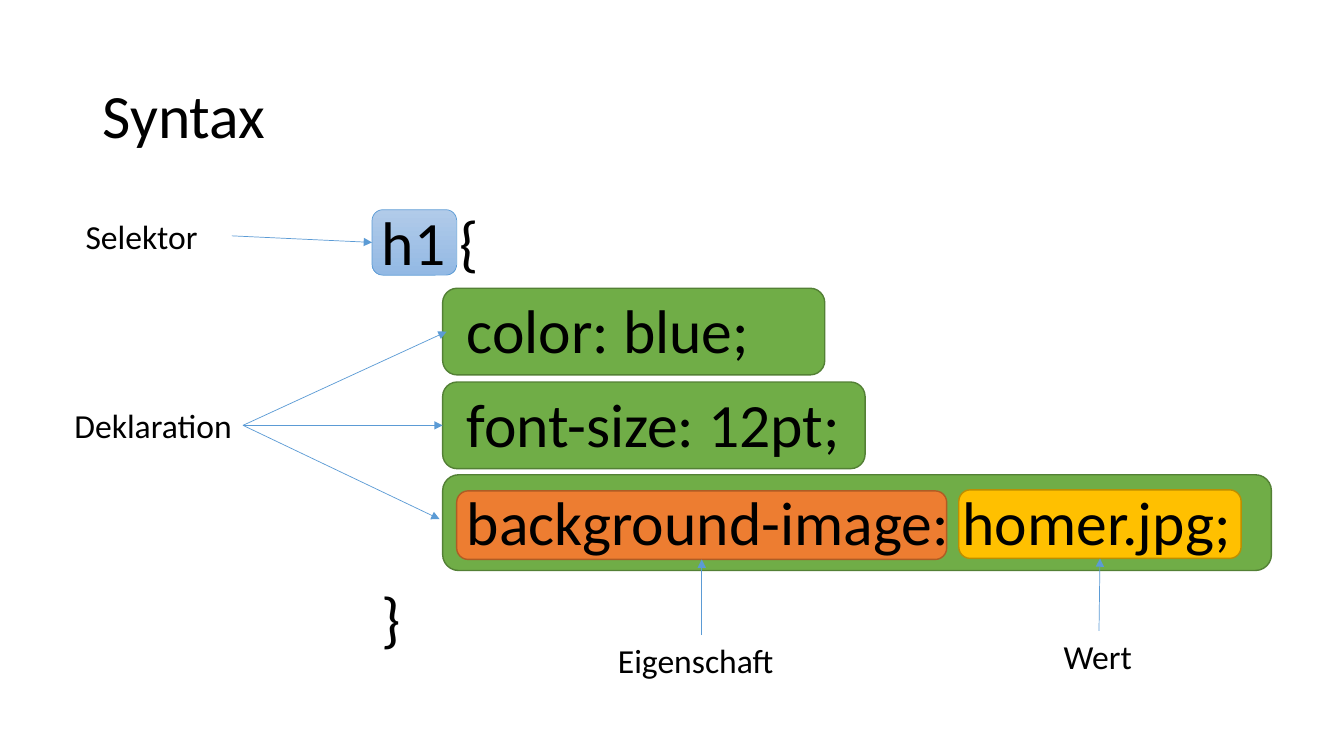
from lxml import etree
from pptx import Presentation
from pptx import util as u
from pptx.dml.color import RGBColor
from pptx.enum import shapes, text
from pptx.oxml import ns

COLORS = {
    "text": "000000",
    "arrow": "5B9BD5",
    "declaration": "70AD47", "declaration_line": "538035",
    "property": "ED7D31", "property_line": "AF5C24",
    "value": "FFC000", "value_line": "BD8E00",
    "selector_top": "B1CBE9", "selector_bottom": "93B9E4",
}
FONT = "Calibri"
CODE_SIZE = 44
LABEL_SIZE = 24
BLOCK_LEFT = 4.39
CODE_LEFT = 4.53


def rgb(name):
    return RGBColor.from_string(COLORS[name])


def add_text(slide, box, content, size, anchor=text.MSO_ANCHOR.TOP):
    shape = slide.shapes.add_textbox(*map(u.Inches, box))
    frame = shape.text_frame
    frame.word_wrap = True
    frame.vertical_anchor = anchor
    run = frame.paragraphs[0].add_run()
    run.text = content
    run.font.name = FONT
    run.font.size = u.Pt(size)
    run.font.color.rgb = rgb("text")
    return shape


def add_block(slide, box, role):
    shape = slide.shapes.add_shape(shapes.MSO_SHAPE.ROUNDED_RECTANGLE, *map(u.Inches, box))
    shape.shadow.inherit = False
    if role == "selector":
        shape.fill.gradient()
        shape.fill.gradient_angle = 270
        for stop, name in zip(shape.fill.gradient_stops, ("selector_top", "selector_bottom")):
            stop.color.rgb = rgb(name)
        shape.line.color.rgb = rgb("arrow")
        shape.line.width = u.Pt(0.5)
    else:
        shape.fill.solid()
        shape.fill.fore_color.rgb = rgb(role)
        shape.line.color.rgb = rgb(role + "_line")
        shape.line.width = u.Pt(1)
    return shape


def add_arrow(slide, source, source_site, target=None, target_site=None, end=(0, 0)):
    """Arrow from a label to a side of the target, or to a free end point."""
    connector = slide.shapes.add_connector(
        shapes.MSO_CONNECTOR.STRAIGHT, 0, 0, *map(u.Inches, end))
    connector.begin_connect(source, source_site)
    if target is not None:
        connector.end_connect(target, target_site)
    connector.line.color.rgb = rgb("arrow")
    connector.line.width = u.Pt(0.5)
    line = connector.line._get_or_add_ln()
    etree.SubElement(line, ns.qn("a:tailEnd"), type="triangle")
    etree.SubElement(connector._element.spPr, ns.qn("a:effectLst"))


def add_code(slide):
    """Draw the CSS rule and return the blocks that the labels point to."""
    declarations = [
        ((BLOCK_LEFT, 2.86, 3.79, 0.86), (CODE_LEFT, 2.85, 3.5, 0.84), "color: blue;"),
        ((BLOCK_LEFT, 3.79, 4.19, 0.86), (CODE_LEFT, 3.78, 3.95, 0.84), "font-size: 12pt;"),
        ((BLOCK_LEFT, 4.71, 8.22, 0.95), (CODE_LEFT, 4.75, 7.89, 0.84),
         "background-image: homer.jpg;"),
    ]
    blocks = [add_block(slide, box, "declaration") for box, _, _ in declarations]
    targets = {
        "declaration": blocks[1],
        "property": add_block(slide, (CODE_LEFT, 4.87, 4.86, 0.68), "property"),
        "value": add_block(slide, (9.51, 4.86, 2.8, 0.68), "value"),
        "selector": add_block(slide, (3.69, 2.08, 0.84, 0.65), "selector"),
    }
    for top, content in ((1.97, "h1 {"), (5.7, "}")):
        add_text(slide, (3.69, top, 1.32, 0.84), content, CODE_SIZE)
    for _, box, content in declarations:
        add_text(slide, box, content, CODE_SIZE)
    return targets


def add_labels(slide, targets):
    """Name each part of the rule and point an arrow at it."""
    labels = [
        ("Selektor", (0.75, 2.09, 1.55, 0.5), 3, "selector", 1),
        ("Deklaration", (0.64, 3.97, 1.77, 0.5), 3, "declaration", 1),
        ("Eigenschaft", (6.03, 6.3, 1.86, 0.5), 0, "property", 2),
        ("Wert", (10.45, 6.26, 0.9, 0.5), 0, "value", 2),
    ]
    for content, box, source_site, role, target_site in labels:
        label = add_text(slide, box, content, LABEL_SIZE)
        add_arrow(slide, label, source_site, targets[role], target_site)
        if role == "declaration":
            for end in ((4.43, 3.29), (4.36, 5.15)):
                add_arrow(slide, label, source_site, end=end)


def main():
    presentation = Presentation()
    presentation.slide_width = u.Inches(13.33)
    presentation.slide_height = u.Inches(7.5)
    slide = presentation.slides.add_slide(presentation.slide_layouts[6])
    add_text(slide, (0.92, 0.4, 11.5, 1.45), "Syntax", CODE_SIZE, text.MSO_ANCHOR.MIDDLE)
    add_labels(slide, add_code(slide))
    presentation.save("out.pptx")


if __name__ == "__main__":
    main()
